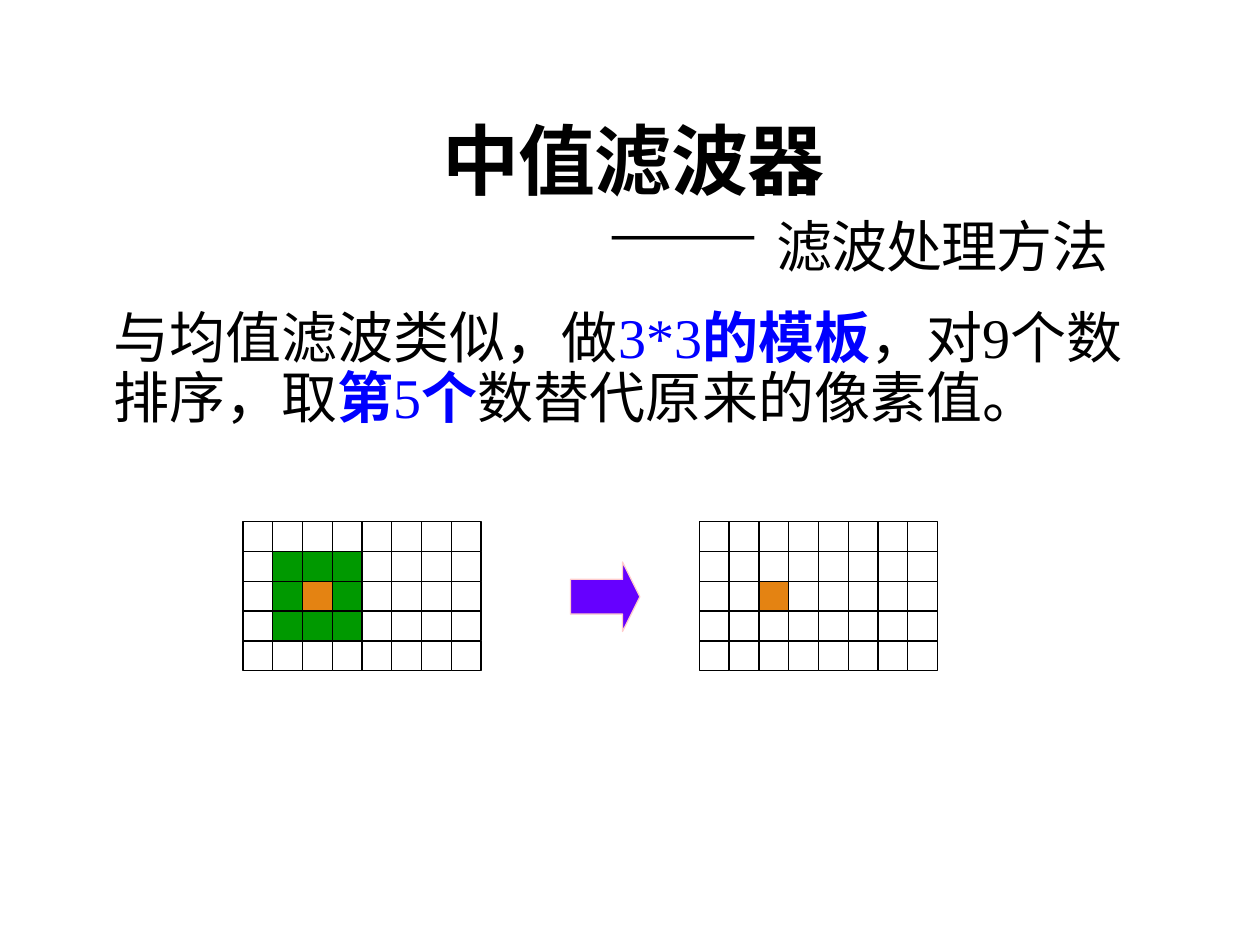
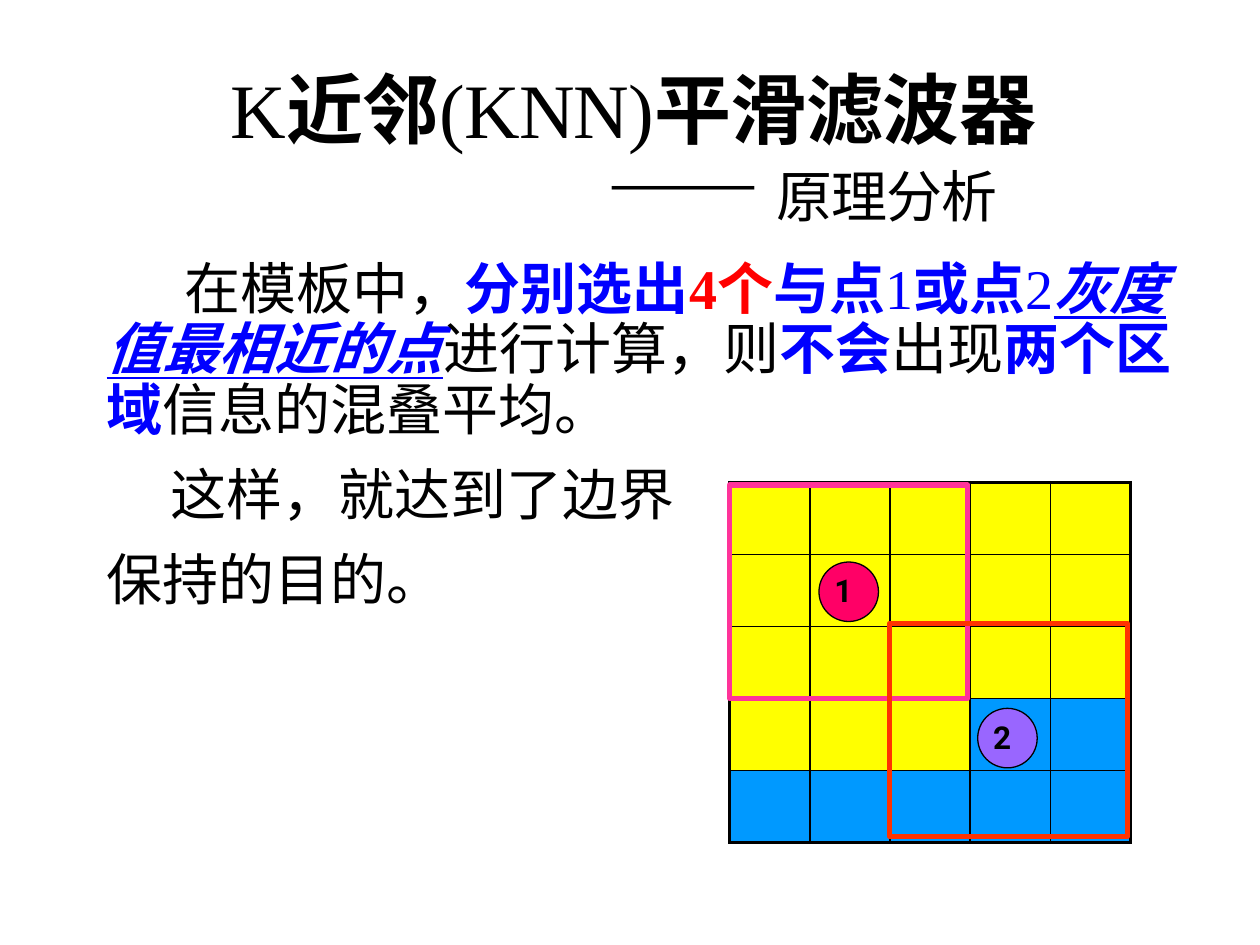
from lxml import etree
from pptx import Presentation
from pptx.dml.color import RGBColor
from pptx.enum.shapes import MSO_SHAPE
from pptx.enum.text import MSO_ANCHOR, MSO_AUTO_SIZE, PP_ALIGN
from pptx.oxml.ns import qn
from pptx.util import Cm, Pt

RECT, OVAL, ARROW = MSO_SHAPE.RECTANGLE, MSO_SHAPE.OVAL, MSO_SHAPE.RIGHT_ARROW
CENTER, LEFT = PP_ALIGN.CENTER, PP_ALIGN.LEFT
BOTTOM, NO_FIT = MSO_ANCHOR.BOTTOM, MSO_AUTO_SIZE.NONE

# Shared look
BLACK, WHITE, BLUE, RED = "000000", "FFFFFF", "0000FF", "FF0000"
GREEN, ORANGE, YELLOW, SKY = "009900", "E48312", "FFFF00", "0099FF"
SERIF, SANS = "Times New Roman", "Roboto"
TITLE_SIZE, TEXT_SIZE = 44, 32
SUBTITLE_INDENT = 9.68
PIXEL = 0.6


def color(value):
    return RGBColor.from_string(value)


def add_span(para, text, size=TEXT_SIZE, ink=BLACK, style="", name=SERIF, spacing=None):
    """Add a run; style holds any of the letters b, i and u."""
    span = para.add_run()
    span.text = text
    font = span.font
    font.name, font.size = name, Pt(size)
    font.bold, font.italic, font.underline = (letter in style for letter in "biu")
    font.color.rgb = color(ink)
    properties = span._r.get_or_add_rPr()
    properties.set("lang", "zh-CN")
    if spacing is not None:
        properties.set("spc", str(round(spacing * 100)))


def set_indent(para, left=0, first=0):
    properties = para._p.get_or_add_pPr()
    properties.set("marL", str(Cm(left)))
    properties.set("indent", str(Cm(first)))


def add_figure(parent, kind, left, top, width, height, fill=None, line=BLACK, weight=0.75):
    figure = parent.shapes.add_shape(kind, Cm(left), Cm(top), Cm(width), Cm(height))
    figure.shadow.inherit = False
    if fill:
        figure.fill.solid()
        figure.fill.fore_color.rgb = color(fill)
    else:
        figure.fill.background()
    figure.line.color.rgb = color(line)
    figure.line.width = Pt(weight)
    return figure


def add_title_page(deck, top, title_spans, subtitle):
    """Title-only page with a centred title and a dashed subtitle under it."""
    page = deck.slides.add_slide(deck.slide_layouts[5])
    box = page.shapes.title
    box.left, box.top, box.width, box.height = Cm(2.29), Cm(top), Cm(20.96), Cm(4.04)
    frame = box.text_frame
    frame.auto_size, frame.vertical_anchor = NO_FIT, BOTTOM

    title = frame.paragraphs[0]
    title.alignment = CENTER
    for text, style in title_spans:
        add_span(title, text, TITLE_SIZE, style=style, spacing=-0.5)

    second = frame.add_paragraph()
    set_indent(second, SUBTITLE_INDENT)
    second.alignment = LEFT
    add_span(second, "—— ", TITLE_SIZE, style="b", spacing=-0.5)
    add_span(second, subtitle, spacing=-0.5)
    for para in frame.paragraphs:
        para.line_spacing = 0.85
    return page


def add_body(page, left, top, width, height, paragraphs, margin=0):
    """Each paragraph is a first-line indent and a list of spans."""
    box = page.shapes.add_textbox(Cm(left), Cm(top), Cm(width), Cm(height))
    frame = box.text_frame
    frame.word_wrap = True
    frame.margin_left = frame.margin_right = 0
    for number, (first, spans) in enumerate(paragraphs):
        para = frame.add_paragraph() if number else frame.paragraphs[0]
        set_indent(para, margin, first)
        para.line_spacing = 0.9
        para.space_after = Pt(2)
        if number:
            para.space_before = Pt(12)
        for text, ink, style in spans:
            add_span(para, text, ink=ink, style=style)


def add_pixel_grid(page, left, top, neighbour_fill, columns=8, rows=5, center=2):
    """Pixel grid whose 3 x 3 window surrounds the pixel in focus."""
    group = page.shapes.add_group_shape()
    for row in range(rows):
        for column in range(columns):
            distance = max(abs(row - center), abs(column - center))
            fill = {0: ORANGE, 1: neighbour_fill}.get(distance, WHITE)
            add_figure(group, RECT, left + column * PIXEL, top + row * PIXEL,
                       PIXEL, PIXEL, fill)


def set_border(cell, side, weight):
    line = etree.SubElement(cell._tc.get_or_add_tcPr(), qn(f"a:ln{side}"), w=str(Pt(weight)))
    fill = etree.SubElement(line, qn("a:solidFill"))
    etree.SubElement(fill, qn("a:srgbClr"), val=BLACK)


def add_region_table(page, left, top, width, height, count=5):
    """Two grey-level regions, with a heavy outer frame."""
    table = page.shapes.add_table(count, count, Cm(left), Cm(top), Cm(width), Cm(height)).table
    table.first_row = table.horz_banding = False
    last = count - 1
    for row in range(count):
        for column in range(count):
            cell = table.cell(row, column)
            outer = {"L": column == 0, "R": column == last, "T": row == 0, "B": row == last}
            for side, heavy in outer.items():
                set_border(cell, side, 2.25 if heavy else 1)
            in_sky = row == last or (row == 3 and column >= 3)
            cell.fill.solid()
            cell.fill.fore_color.rgb = color(SKY if in_sky else YELLOW)


def add_point(page, left, top, fill, number):
    group = page.shapes.add_group_shape()
    add_figure(group, OVAL, left, top, 1.2, 1.2, fill)
    label = group.shapes.add_textbox(Cm(left + 0.06), Cm(top + 0.06), Cm(1.2), Cm(1.02))
    label.text_frame.word_wrap = True
    add_span(label.text_frame.paragraphs[0], number, 18, style="b", name=SANS)


def build_median_page(deck):
    page = add_title_page(deck, 1.8, [("中值滤波器", "b")], "滤波处理方法")
    add_body(page, 2.29, 6.12, 20.96, 3.61, [(0, [
        ("与均值滤波类似，做", BLACK, ""),
        ("3*3", BLUE, ""),
        ("的模板", BLUE, "b"),
        ("，对9个数排序，取", BLACK, ""),
        ("第", BLUE, "b"),
        ("5", BLUE, ""),
        ("个", BLUE, "b"),
        ("数替代原来的像素值。", BLACK, ""),
    ])])
    # Window before, arrow, result after
    add_pixel_grid(page, 4.9, 10.52, GREEN)
    arrow = add_figure(page, ARROW, 11.5, 11.33, 1.4, 1.4, "6600FF", "FFCCCC")
    arrow.adjustments[0], arrow.adjustments[1] = 0.5, 0.25
    add_pixel_grid(page, 14.1, 10.52, WHITE)


def build_neighbour_page(deck):
    title = [("K", ""), ("近邻", "b"), ("(KNN)", ""), ("平滑滤波器", "b")]
    page = add_title_page(deck, 0.79, title, "原理分析")
    add_body(page, 1.9, 5.13, 21.82, 11.18, [
        (1.57, [
            ("在模板中，", BLACK, ""),
            ("分别选出", BLUE, "b"),
            ("4个", RED, "b"),
            ("与点", BLUE, "b"),
            ("1", BLUE, ""),
            ("或点", BLUE, "b"),
            ("2", BLUE, ""),
            ("灰度值最相近的点", BLUE, "biu"),
            ("进行计算，则", BLACK, ""),
            ("不会", BLUE, "b"),
            ("出现", BLACK, ""),
            ("两个区域", BLUE, "b"),
            ("信息的混叠平均。", BLACK, ""),
        ]),
        (1.29, [("这样，就达到了边界", BLACK, "")]),
        (0, [("保持的目的。", BLACK, "")]),
    ], margin=0.25)
    # Regions, the two points and their windows
    add_region_table(page, 14.71, 9.73, 8.08, 7.25)
    add_point(page, 16.51, 11.33, "FF0066", "1")
    add_point(page, 19.71, 14.28, "9966FF", "2")
    for left, top, line in ((14.71, 9.78, "FF3399"), (17.93, 12.57, "FF3300")):
        add_figure(page, RECT, left, top, 4.8, 4.3, line=line, weight=3)


def main():
    deck = Presentation()
    deck.slide_width, deck.slide_height = Cm(25.4), Cm(19.05)
    build_median_page(deck)
    build_neighbour_page(deck)
    deck.save("out.pptx")


if __name__ == "__main__":
    main()
